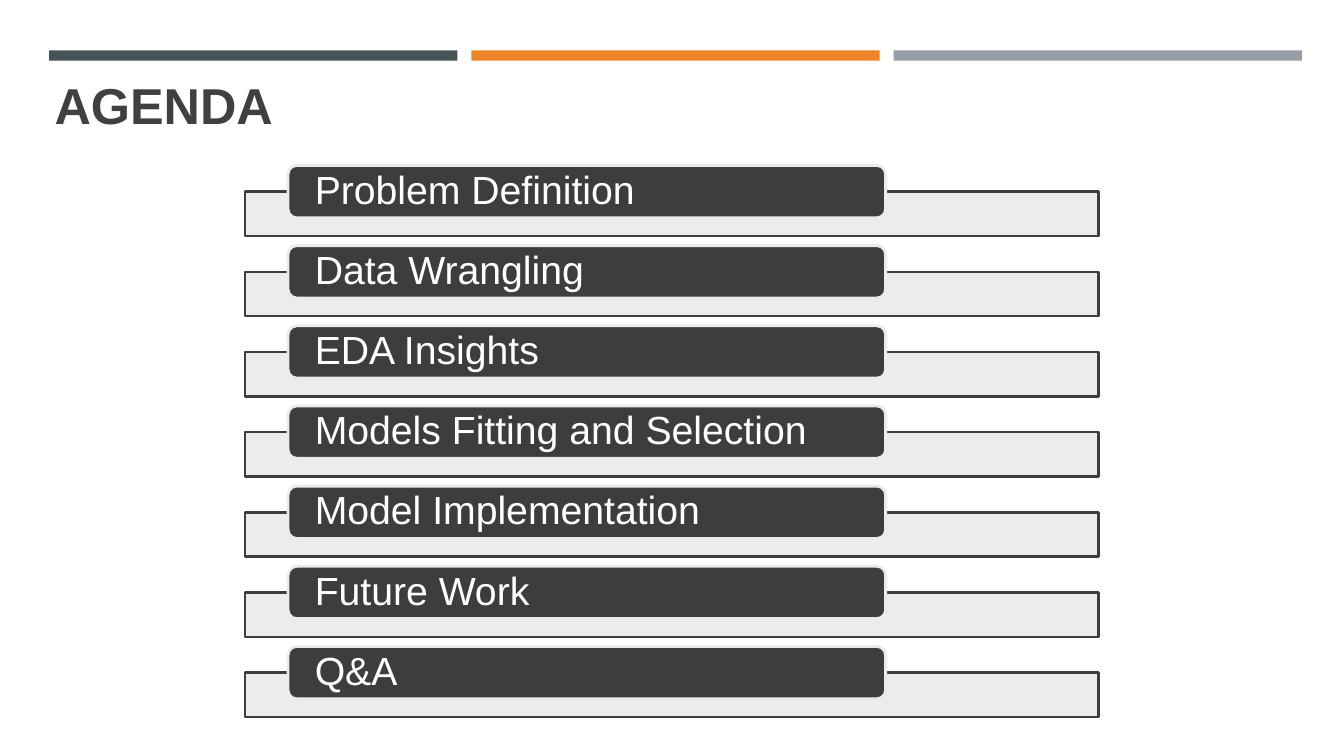
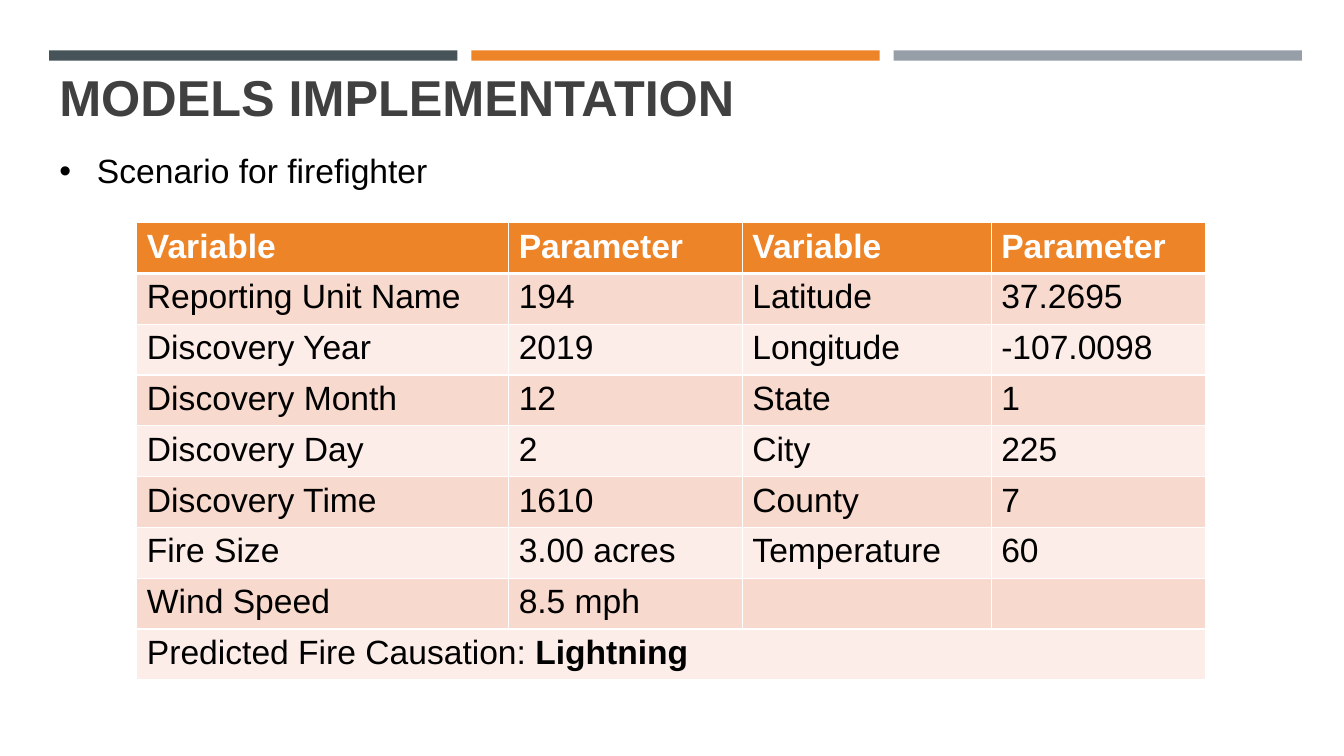
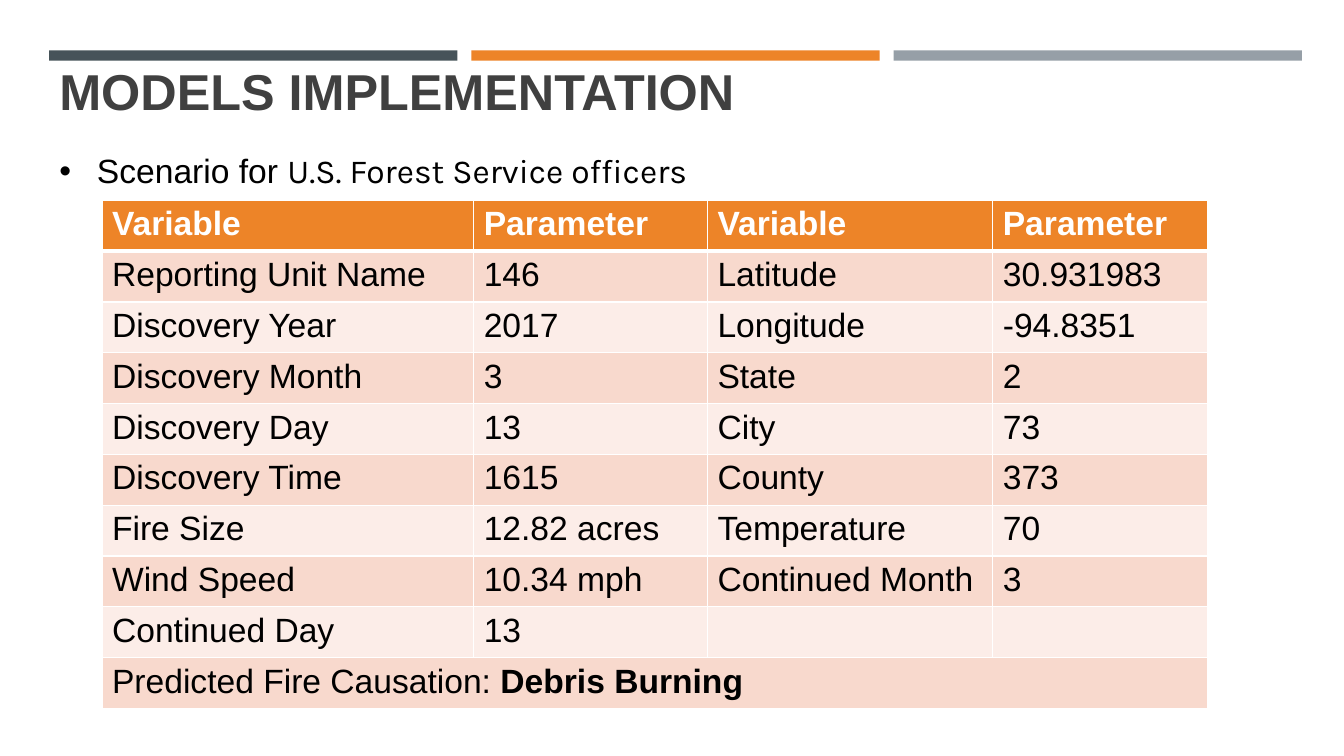
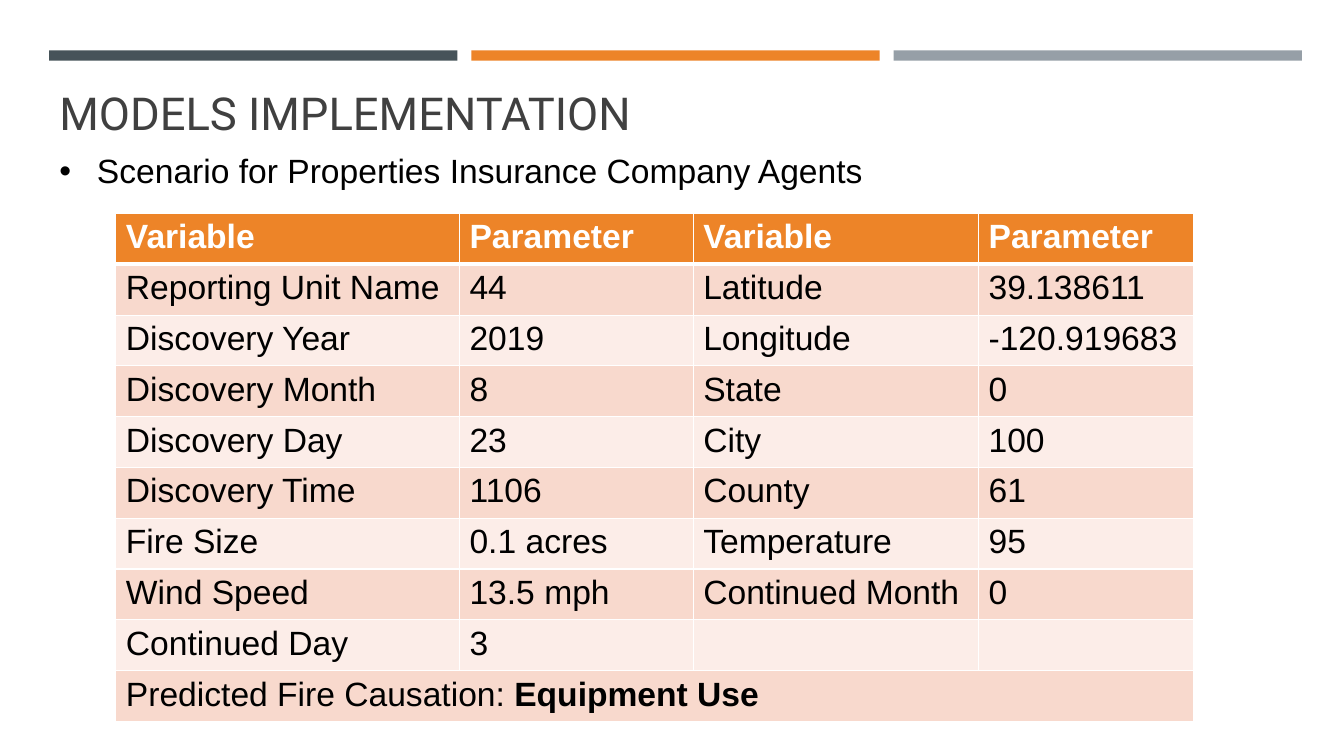
from itertools import zip_longest

from lxml import etree
from pptx import Presentation
from pptx import util as u
from pptx.dml import color
from pptx.enum import shapes, text
from pptx.oxml import ns

COLORS = {
    "slate": "465359", "orange": "ED8428", "grey": "969FA7", "title": "404040",
    "label": "3D3D3D", "bar": "EBEBEB", "odd": "F8D9CD", "even": "FCEDE8",
    "white": "FFFFFF", "black": "000000",
}
AGENDA = ["Problem Definition", "Data Wrangling", "EDA Insights",
          "Models Fitting and Selection", "Model Implementation",
          "Future Work", "Q&A"]
LEFT_NAMES = ["Reporting Unit Name", "Discovery Year", "Discovery Month",
              "Discovery Day", "Discovery Time", "Fire Size", "Wind Speed",
              "Continued Day"]
RIGHT_NAMES = ["Latitude", "Longitude", "State", "City", "County",
               "Temperature", "Continued Month"]
SCENARIOS = [
    {"title": {"top": 1.6},
     "bullet": [("Scenario for firefighter", "Arial")],
     "place": (3.45, 5.61), "widths": (9.37, 5.89, 6.27, 5.41),
     "left": ["194", "2019", "12", "2", "1610", "3.00 acres", "8.5 mph"],
     "right": ["37.2695", "-107.0098", "1", "225", "7", "60"],
     "cause": "Lightning"},
    {"title": {"top": 1.47},
     "bullet": [("Scenario for ", "Arial"),
                ("U.S. Forest Service officers", "Karla")],
     "place": (2.57, 5.05), "widths": (9.37, 5.89, 7.19, 5.41),
     "left": ["146", "2017", "3", "13", "1615", "12.82 acres", "10.34 mph", "13"],
     "right": ["30.931983", "-94.8351", "2", "73", "373", "70", "3"],
     "cause": "Debris Burning"},
    {"title": {"top": 1.93, "size": 32.4, "font": "Roboto", "bold": False},
     "bullet": [("Scenario for Properties Insurance Company Agents", "Arial")],
     "place": (2.92, 5.38), "widths": (8.66, 5.89, 7.19, 5.41),
     "left": ["44", "2019", "8", "23", "1106", "0.1 acres", "13.5 mph", "3"],
     "right": ["39.138611", "-120.919683", "0", "100", "61", "95", "0"],
     "cause": "Equipment Use"},
]


def rgb(name):
    """Return the palette colour with this name."""
    return color.RGBColor.from_string(COLORS[name])


def write(p, words, size=24, font="Arial", ink="black", bold=False):
    """Add one formatted run to a paragraph."""
    r = p.add_run()
    r.text = words
    r.font.size, r.font.name, r.font.bold = u.Pt(size), font, bold
    r.font.color.rgb = rgb(ink)


def place(sp, left, top, width, height):
    """Move and size a shape, in centimetres."""
    sp.left, sp.top = u.Cm(left), u.Cm(top)
    sp.width, sp.height = u.Cm(width), u.Cm(height)


def set_borders(cell, **widths):
    """Draw white cell borders with the given widths in points."""
    tc_pr = cell.fill._xPr
    for i, side in enumerate("LRTB"):
        ln = etree.Element(ns.qn(f"a:ln{side}"), w=str(u.Pt(widths.get(side, 1))))
        fill = etree.SubElement(ln, ns.qn("a:solidFill"))
        etree.SubElement(fill, ns.qn("a:srgbClr"), val=COLORS["white"])
        tc_pr.insert(i, ln)


class Deck:
    """Hold the style and the current slide."""

    def __init__(self):
        """Start a wide presentation."""
        self.prs = Presentation()
        self.prs.slide_width, self.prs.slide_height = u.Cm(33.87), u.Cm(19.05)
        self.s = None

    def slide(self, layout, words, left=1.24, top=1.6, size=36, font="Arial", bold=True):
        """Add a slide with its title."""
        self.s = self.prs.slides.add_slide(self.prs.slide_layouts[layout])
        if len(self.prs.slides) == 1:
            self.master_bands()
        sp = self.s.shapes.title
        place(sp, left, top, 30.53, 1.73)
        tf = sp.text_frame
        tf.auto_size = text.MSO_AUTO_SIZE.NONE
        tf.vertical_anchor = text.MSO_ANCHOR.BOTTOM
        p = tf.paragraphs[0]
        p.alignment = text.PP_ALIGN.LEFT
        p.line_spacing = 0.9
        write(p, words, size=size, font=font, ink="title", bold=bold)

    def shape(self, kind, box, fill, line=None, weight=1, alpha=None):
        """Add a filled preset shape."""
        sp = self.s.shapes.add_shape(kind, *map(u.Cm, box))
        sp.shadow.inherit = False
        sp.fill.solid()
        sp.fill.fore_color.rgb = rgb(fill)
        if alpha:
            tint = sp.element.spPr.find(".//" + ns.qn("a:srgbClr"))
            etree.SubElement(tint, ns.qn("a:alpha"), val=str(alpha * 1000))
        if line:
            sp.line.color.rgb = rgb(line)
            sp.line.width = u.Pt(weight)
        else:
            sp.line.fill.background()
        return sp

    def master_bands(self):
        """Put the three colour bands on the slide master."""
        tree = self.prs.slide_master.element.cSld.spTree
        for i, fill in enumerate(("slate", "orange", "grey")):
            sp = self.shape(shapes.MSO_SHAPE.RECTANGLE,
                            (1.24 + i * 10.64, 1.27, 10.29, 0.26), fill)
            sp.element.nvSpPr.cNvPr.set("id", str(20 + i))
            tree.insert(2 + i, sp.element)

    def agenda(self, items):
        """Draw a bar with a rounded label for each item."""
        for i, item in enumerate(items):
            drop = i * 2.02
            self.shape(shapes.MSO_SHAPE.RECTANGLE, (6.17, 4.83 + drop, 21.51, 1.12),
                       "bar", line="label", weight=1.75, alpha=90)
            label = self.shape(shapes.MSO_SHAPE.ROUNDED_RECTANGLE,
                               (7.26, 4.17 + drop, 15.06, 1.32),
                               "label", line="bar", weight=2)
            tf = label.text_frame
            tf.margin_left = tf.margin_right = u.Cm(0.61)
            tf.margin_top = tf.margin_bottom = 0
            tf.vertical_anchor = text.MSO_ANCHOR.MIDDLE
            p = tf.paragraphs[0]
            p.alignment = text.PP_ALIGN.LEFT
            p.line_spacing = 0.9
            write(p, item, size=28, ink="white")

    def bullet(self, runs):
        """Fill the body placeholder with one bulleted line."""
        sp = self.s.placeholders[1]
        place(sp, 1.24, 3.66, 26.57, 1.28)
        sp.text_frame.auto_size = text.MSO_AUTO_SIZE.NONE
        p = sp.text_frame.paragraphs[0]
        p_pr = p._p.get_or_add_pPr()
        p_pr.set("marL", str(u.Cm(0.95)))
        p_pr.set("indent", str(u.Cm(-0.95)))
        etree.SubElement(p_pr, ns.qn("a:buFont"), typeface="Arial")
        etree.SubElement(p_pr, ns.qn("a:buChar"), char="•")
        p.space_before = u.Pt(0)
        for words, font in runs:
            write(p, words, font=font)

    def table(self, corner, widths, rows, cause):
        """Add the parameter table with its prediction row."""
        count = len(rows) + 1
        tbl = self.s.shapes.add_table(
            count, len(widths), *map(u.Cm, (*corner, sum(widths), 1.28 * count))).table
        for column, width in zip(tbl.columns, widths):
            column.width = u.Cm(width)
        for i, row in enumerate(rows + [[""] * len(widths)]):
            fill = "orange" if i == 0 else "odd" if i % 2 else "even"
            for j, words in enumerate(row):
                cell = tbl.cell(i, j)
                cell.fill.solid()
                cell.fill.fore_color.rgb = rgb(fill)
                set_borders(cell, T=3 if i == 1 else 1, B=3 if i == 0 else 1)
                if words:
                    write(cell.text_frame.paragraphs[0], words,
                          ink="black" if i else "white", bold=i == 0)
        total = tbl.cell(count - 1, 0)
        total.merge(tbl.cell(count - 1, len(widths) - 1))
        p = total.text_frame.paragraphs[0]
        write(p, "Predicted Fire Causation: ")
        write(p, cause, bold=True)


def main():
    """Build and save the deck."""
    deck = Deck()
    deck.slide(5, "AGENDA", left=1.12, top=1.8)
    deck.agenda(AGENDA)
    for case in SCENARIOS:
        deck.slide(1, "MODELS IMPLEMENTATION", **case["title"])
        deck.bullet(case["bullet"])
        pairs = zip_longest(zip(LEFT_NAMES, case["left"]),
                            zip(RIGHT_NAMES, case["right"]), fillvalue=("", ""))
        rows = [["Variable", "Parameter"] * 2] + [[*a, *b] for a, b in pairs]
        deck.table(case["place"], case["widths"], rows, case["cause"])
    deck.prs.save("out.pptx")


if __name__ == "__main__":
    main()
